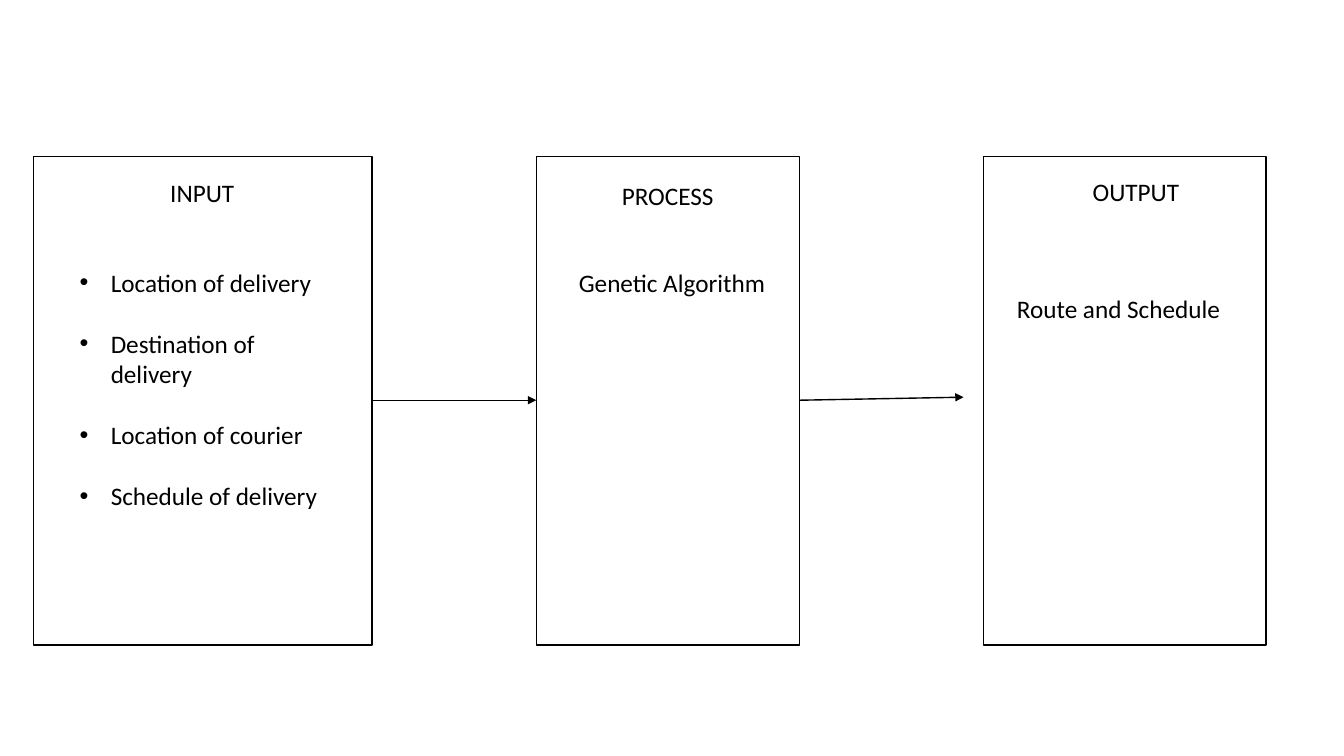
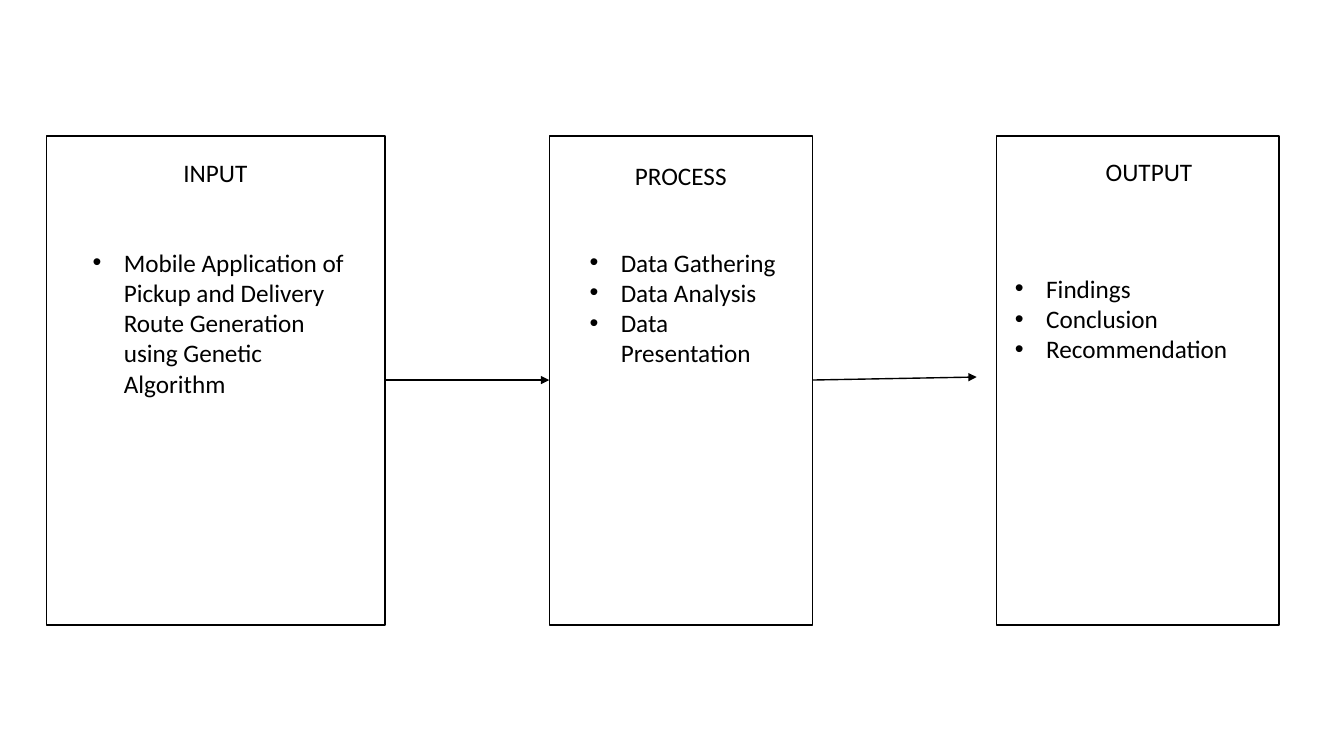
from dataclasses import dataclass

from pptx import Presentation
from pptx.dml.color import RGBColor
from pptx.enum.shapes import MSO_CONNECTOR as Connector, MSO_SHAPE as Preset
from pptx.enum.text import MSO_AUTO_SIZE as AutoSize, PP_ALIGN as Align
from pptx.oxml.ns import qn
from pptx.oxml.xmlchemy import OxmlElement
from pptx.slide import Slide
from pptx.text.text import _Paragraph as Paragraph
from pptx.util import Inches, Length, Pt


@dataclass(frozen=True)
class Theme:
    font: str = "Calibri"
    size: Length = Pt(18)
    ink: RGBColor = RGBColor(0, 0, 0)
    paper: RGBColor = RGBColor(255, 255, 255)
    stroke: Length = Pt(1)
    bullet_indent: Length = Inches(0.31)


@dataclass(frozen=True)
class Box:
    left: float
    top: float
    width: float
    height: float


@dataclass(frozen=True)
class Stage:
    title: str
    frame: Box
    heading: Box
    body_left: float
    body_top: float
    body_width: float


@dataclass(frozen=True)
class Content:
    items: tuple[str, ...]
    lines: int
    bulleted: bool = True
    gap: Length = Pt(0)


@dataclass(frozen=True)
class Arrow:
    start: tuple[float, float]
    end: tuple[float, float]


@dataclass(frozen=True)
class Diagram:
    left: float
    top: float
    contents: tuple[Content, Content, Content]


THEME = Theme()
WIDTH, HEIGHT = Inches(13.333), Inches(7.5)
FRAME_HEIGHT, HEADING_HEIGHT = 64.67, 5.33
LINE_HEIGHT, TEXT_PADDING = 4.04, 1.33
MIDDLE = 32.27

STAGES = (
    Stage("INPUT", Box(0, 0, 25.2, FRAME_HEIGHT),
          Box(9.45, 2.13, 6.3, HEADING_HEIGHT), 2.7, 14, 20.4),
    Stage("PROCESS", Box(37.42, 0, 19.58, FRAME_HEIGHT),
          Box(43.05, 2.53, 8.4, HEADING_HEIGHT), 39.68, 14, 15.68),
    Stage("OUTPUT", Box(70.72, 0, 21, FRAME_HEIGHT),
          Box(78.08, 2, 8.03, HEADING_HEIGHT), 71.33, 17.47, 18.83),
)
ARROWS = (
    Arrow((25.2, MIDDLE), (37.42, MIDDLE)),
    Arrow((57, MIDDLE), (69.22, MIDDLE - 0.4)),
)
DIAGRAMS = (
    Diagram(2.48, 20.67, (
        Content(("Location of delivery", "Destination of delivery",
                 "Location of courier", "Schedule of delivery"), 8, gap=Pt(22)),
        Content(("Genetic Algorithm",), 1, bulleted=False),
        Content(("Route and Schedule",), 1, bulleted=False),
    )),
    Diagram(3.45, 18, (
        Content(("Mobile Application of Pickup and Delivery Route Generation "
                 "using Genetic Algorithm",), 5),
        Content(("Data Gathering", "Data Analysis", "Data Presentation"), 4),
        Content(("Findings", "Conclusion", "Recommendation"), 3),
    )),
)


def across(share: float) -> Length:
    return Length(round(WIDTH * share / 100))


def down(share: float) -> Length:
    return Length(round(HEIGHT * share / 100))


def place(diagram: Diagram, box: Box) -> tuple[Length, Length, Length, Length]:
    return (across(diagram.left + box.left), down(diagram.top + box.top),
            across(box.width), down(box.height))


def style_text(paragraph: Paragraph) -> None:
    paragraph.font.name = THEME.font
    paragraph.font.size = THEME.size
    paragraph.font.color.rgb = THEME.ink


def add_bullet(paragraph: Paragraph) -> None:
    properties = paragraph._p.get_or_add_pPr()
    properties.set("marL", str(THEME.bullet_indent))
    properties.set("indent", str(-THEME.bullet_indent))
    typeface = OxmlElement("a:buFont")
    typeface.set("typeface", "Arial")
    character = OxmlElement("a:buChar")
    character.set("char", "•")
    properties.extend((typeface, character))


def paint(shape, line_color: RGBColor) -> None:
    shape.fill.solid()
    shape.fill.fore_color.rgb = THEME.paper
    shape.line.color.rgb = line_color
    shape.line.width = THEME.stroke


def draw_frame(slide: Slide, diagram: Diagram, stage: Stage) -> None:
    shape = slide.shapes.add_shape(Preset.RECTANGLE, *place(diagram, stage.frame))
    shape.shadow.inherit = False
    paint(shape, THEME.ink)


def draw_body(slide: Slide, diagram: Diagram, stage: Stage, content: Content) -> None:
    height = content.lines * LINE_HEIGHT + TEXT_PADDING
    box = Box(stage.body_left, stage.body_top, stage.body_width, height)
    shape = slide.shapes.add_textbox(*place(diagram, box))
    paint(shape, THEME.paper)
    frame = shape.text_frame
    frame.word_wrap = True
    frame.auto_size = AutoSize.SHAPE_TO_FIT_TEXT
    frame.text = "\n".join(content.items)
    for index, paragraph in enumerate(frame.paragraphs):
        if content.bulleted:
            add_bullet(paragraph)
        else:
            paragraph.alignment = Align.CENTER
        if index and content.gap:
            paragraph.space_before = content.gap
        style_text(paragraph)


def draw_arrow(slide: Slide, diagram: Diagram, arrow: Arrow) -> None:
    (start_x, start_y), (end_x, end_y) = arrow.start, arrow.end
    connector = slide.shapes.add_connector(
        Connector.STRAIGHT,
        across(diagram.left + start_x), down(diagram.top + start_y),
        across(diagram.left + end_x), down(diagram.top + end_y))
    connector.line.color.rgb = THEME.ink
    connector.line.width = THEME.stroke
    head = OxmlElement("a:tailEnd")
    head.set("type", "triangle")
    properties = connector._element.spPr
    properties.find(qn("a:ln")).append(head)
    properties.append(OxmlElement("a:effectLst"))


def draw_heading(slide: Slide, diagram: Diagram, stage: Stage) -> None:
    frame = slide.shapes.add_textbox(*place(diagram, stage.heading)).text_frame
    frame.word_wrap = False
    frame.auto_size = AutoSize.SHAPE_TO_FIT_TEXT
    frame.text = stage.title
    style_text(frame.paragraphs[0])


def draw_diagram(slide: Slide, diagram: Diagram) -> None:
    for stage in STAGES:
        draw_frame(slide, diagram, stage)
    for stage, content in zip(STAGES, diagram.contents):
        draw_body(slide, diagram, stage, content)
    for arrow in ARROWS:
        draw_arrow(slide, diagram, arrow)
    for stage in STAGES:
        draw_heading(slide, diagram, stage)


presentation = Presentation()
presentation.slide_width, presentation.slide_height = WIDTH, HEIGHT
blank_layout = presentation.slide_layouts.get_by_name("Blank")
for diagram in DIAGRAMS:
    draw_diagram(presentation.slides.add_slide(blank_layout), diagram)
presentation.save("out.pptx")
